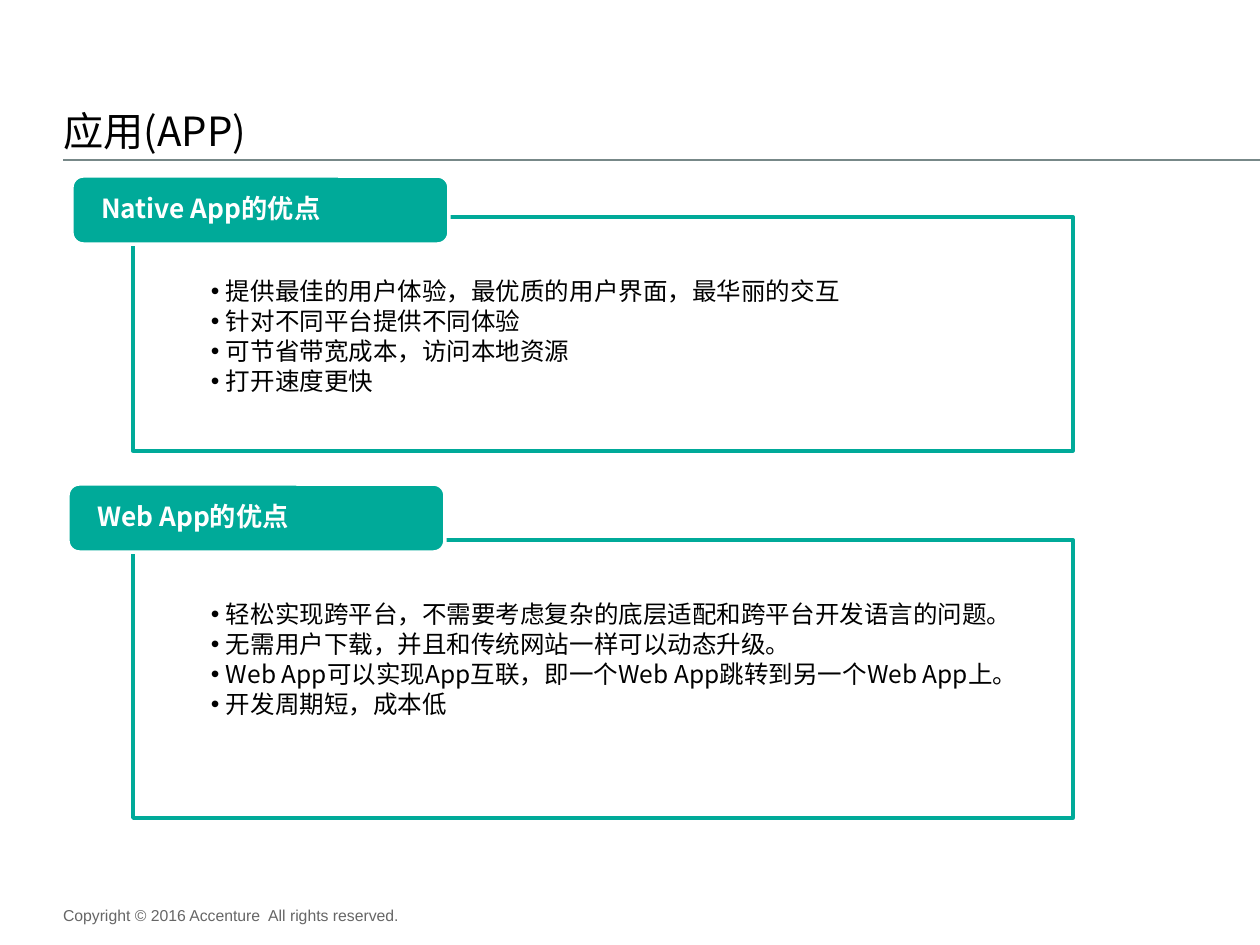
import pptx
import pptx.util
import pptx.dml.color
import pptx.enum.shapes
import pptx.enum.text
from dataclasses import dataclass
from lxml import etree

Pt = pptx.util.Pt
Shape = pptx.enum.shapes.MSO_SHAPE
Align = pptx.enum.text.PP_ALIGN
Anchor = pptx.enum.text.MSO_ANCHOR
NS = "http://schemas.openxmlformats.org/drawingml/2006/main"
PX = 914400 / 126


def px(n):
    return pptx.util.Emu(round(n * PX))


def rgb(code):
    return pptx.dml.color.RGBColor.from_string(code)


def tag(parent, name, **attrs):
    return etree.SubElement(parent, f"{{{NS}}}{name}", **attrs)


@dataclass(frozen=True)
class Theme:
    teal: str = "00AA99"
    white: str = "FFFFFF"
    ink: str = "000000"
    rule: str = "778888"
    gray: str = "666666"
    font: str = "Noto Sans CJK SC"
    small: str = "Arial"
    title: int = 23
    head: int = 15
    body: int = 14
    foot: int = 9


def write(para, text, font, size, color, bold=False, space=None, dot=False):
    """Put one formatted run of text into a paragraph."""
    para.alignment = Align.LEFT
    para.space_before = Pt(0)
    if space is not None:
        para.line_spacing = space
        para.space_after = Pt(2)
    if dot:
        props = para._p.get_or_add_pPr()
        props.set("marL", str(px(15)))
        props.set("indent", str(-px(15)))
        tag(props, "buFont", typeface="Arial")
        tag(props, "buChar", char="•")
    run = para.add_run()
    run.text = text
    run.font.name = font
    run.font.size = Pt(size)
    run.font.bold = bold
    run.font.color.rgb = rgb(color)
    tag(run._r.get_or_add_rPr(), "ea", typeface=font)


class Page:
    def __init__(self, slide, theme):
        self.slide, self.theme = slide, theme

    def frame(self, shape, pad, anchor):
        text = shape.text_frame
        text.word_wrap = True
        text.auto_size = pptx.enum.text.MSO_AUTO_SIZE.NONE
        text.vertical_anchor = anchor
        (text.margin_left, text.margin_top,
         text.margin_right, text.margin_bottom) = map(px, pad)
        return text

    def place(self, index, box):
        shape = self.slide.placeholders[index]
        shape.left, shape.top, shape.width, shape.height = map(px, box)
        return shape

    def paint(self, shape, fill, edge):
        shape.fill.solid()
        shape.fill.fore_color.rgb = rgb(fill)
        shape.line.color.rgb = rgb(edge)
        shape.line.width = Pt(2)

    def title(self, words, box):
        text = self.frame(self.place(0, box), (0, 6, 0, 0), Anchor.BOTTOM)
        t = self.theme
        write(text.paragraphs[0], words, t.font, t.title, t.ink)

    def rule(self, left, right, y):
        line = self.slide.shapes.add_connector(
            pptx.enum.shapes.MSO_CONNECTOR.STRAIGHT,
            px(left), px(y), px(right), px(y))
        line.line.color.rgb = rgb(self.theme.rule)
        line.line.width = Pt(1)
        tag(line._element.spPr, "effectLst")

    def label(self, words, box):
        t = self.theme
        shape = self.slide.shapes.add_shape(
            Shape.ROUNDED_RECTANGLE, *map(px, box))
        shape.shadow.inherit = False
        self.paint(shape, t.teal, t.white)
        text = self.frame(shape, (26, 0, 26, 0), Anchor.MIDDLE)
        write(text.paragraphs[0], words, t.font, t.head, t.white,
              bold=True, space=0.9)

    def items(self, index, lines, box):
        t = self.theme
        shape = self.place(index, box)
        self.paint(shape, t.white, t.teal)
        text = self.frame(shape, (78, 62, 78, 12), Anchor.TOP)
        for i, line in enumerate(lines):
            para = text.add_paragraph() if i else text.paragraphs[0]
            write(para, line, t.font, t.body, t.ink, space=0.9, dot=True)

    def panel(self, index, head, lines, tab, box):
        self.items(index, lines, box)
        self.label(head, tab)

    def note(self, words, box):
        t = self.theme
        shape = self.slide.shapes.add_textbox(*map(px, box))
        text = self.frame(shape, (0, 6, 13, 6), Anchor.MIDDLE)
        write(text.paragraphs[0], words, t.small, t.foot, t.gray)


def main():
    deck = pptx.Presentation()
    deck.slide_width, deck.slide_height = px(1260), px(945)
    layout = deck.slide_layouts.get_by_name("Two Content")
    page = Page(deck.slides.add_slide(layout), Theme())

    # Title and rule
    page.rule(63, 1260, 160)
    page.title("应用(APP)", (63, 16, 1134, 139))

    # Panels, each with a framed list and a label on its corner
    page.panel(1, "Native App的优点", [
        "提供最佳的用户体验，最优质的用户界面，最华丽的交互",
        "针对不同平台提供不同体验",
        "可节省带宽成本，访问本地资源",
        "打开速度更快",
    ], tab=(72, 176, 377, 68), box=(133, 217, 940, 234))
    page.panel(2, "Web App的优点", [
        "轻松实现跨平台，不需要考虑复杂的底层适配和跨平台开发语言的问题。",
        "无需用户下载，并且和传统网站一样可以动态升级。",
        "Web App可以实现App互联，即一个Web App跳转到另一个Web App上。",
        "开发周期短，成本低",
    ], tab=(68, 484, 377, 68), box=(133, 540, 940, 278))

    # Footer
    page.note("Copyright © 2016 Accenture  All rights reserved.",
              (63, 906, 559, 18))

    deck.save("out.pptx")


if __name__ == "__main__":
    main()
